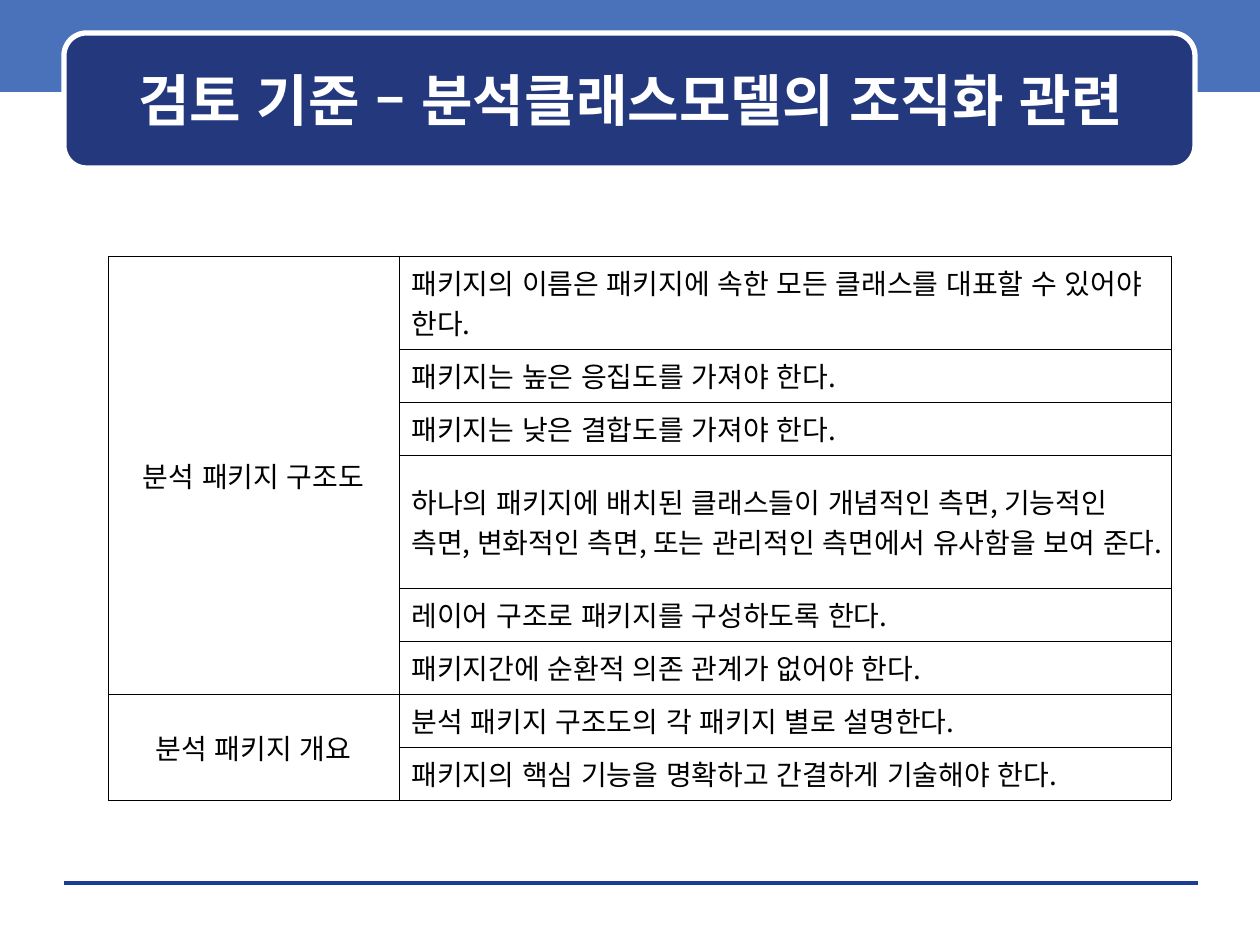
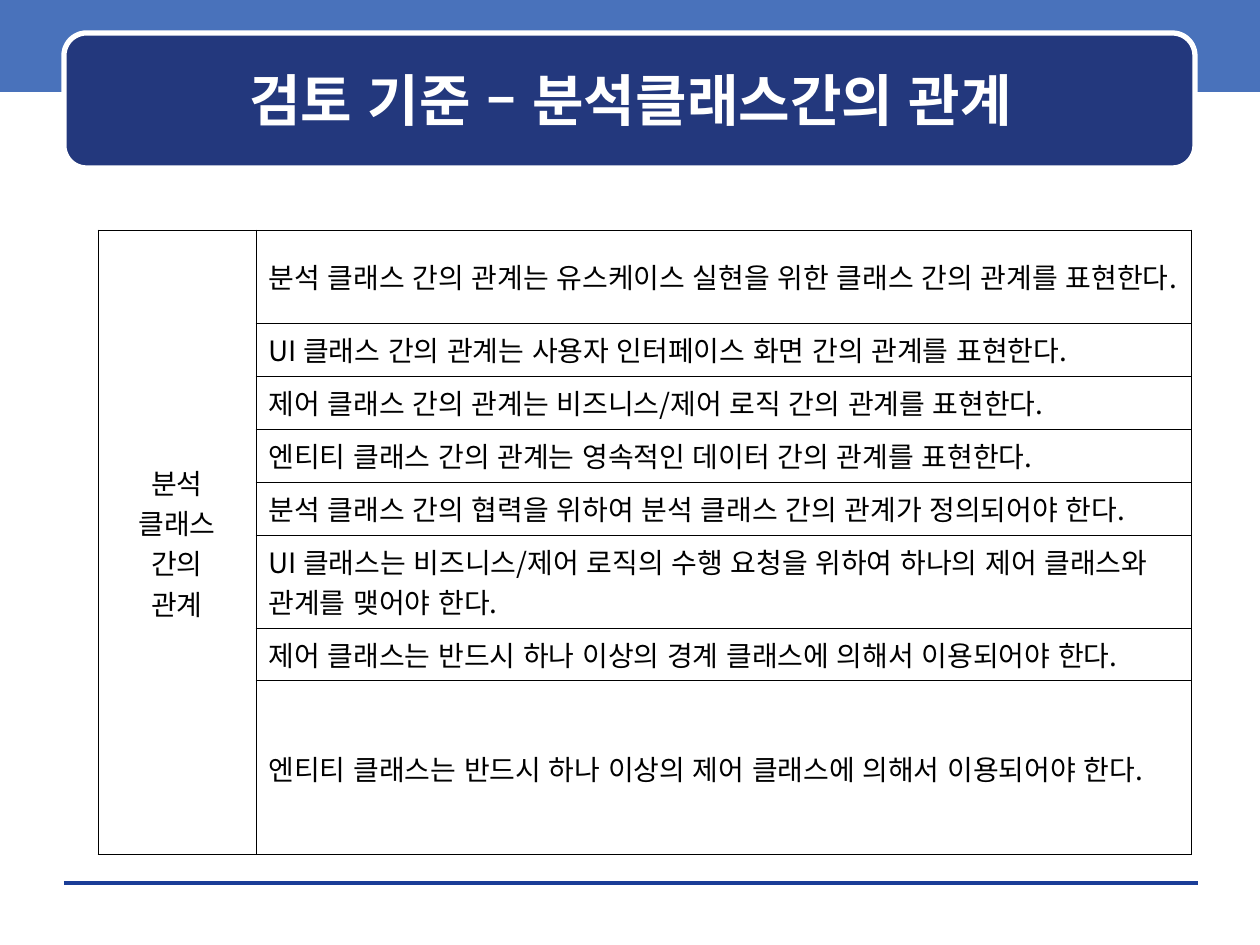
"""Build two slides of review criteria for analysis classes."""
from dataclasses import dataclass

from lxml.etree import SubElement
from pptx import Presentation
from pptx.dml.color import RGBColor
from pptx.enum.lang import MSO_LANGUAGE_ID as Language
from pptx.enum.shapes import MSO_CONNECTOR as Connector, MSO_SHAPE as Preset
from pptx.enum.text import MSO_ANCHOR as Anchor, PP_ALIGN as Align
from pptx.oxml.ns import qn
from pptx.slide import Slide
from pptx.table import _Cell as Cell
from pptx.text.text import TextFrame
from pptx.util import Emu, Pt

WHITE = RGBColor(0xFF, 0xFF, 0xFF)
BLACK = RGBColor(0x00, 0x00, 0x00)
BAND_BLUE = RGBColor(0x49, 0x72, 0xBB)
TITLE_BLUE = RGBColor(0x23, 0x38, 0x7D)
RULE_BLUE = RGBColor(0x1A, 0x3D, 0x97)

FONT = "Noto Sans CJK KR"
TITLE_FORMAT = {"size": Pt(32), "bold": True}
CELL_FORMAT = {"size": Pt(16), "bold": False}
BORDER_WIDTH = Pt(0.45)
ONE_LINE, TWO_LINES, THREE_LINES, TALL_ROW = 53, 93, 133, 174


def px(length: int) -> Emu:
    """Turn a length at 126 px to the inch into EMU."""
    return Emu(round(length * 914400 / 126))


@dataclass(frozen=True)
class Panel:
    """A filled shape behind the title."""
    preset: Preset
    box: tuple[int, int, int, int]
    fill: RGBColor
    outline: RGBColor | None = None


@dataclass(frozen=True)
class Criterion:
    """One table row: its text and height."""
    text: str
    height: int = ONE_LINE


@dataclass(frozen=True)
class Group:
    """A merged label cell and its criteria."""
    label: str
    criteria: tuple[Criterion, ...]


@dataclass(frozen=True)
class Review:
    """The content of one slide."""
    title: str
    left: int
    top: int
    columns: tuple[int, int]
    groups: tuple[Group, ...]


PANELS = (
    Panel(Preset.RECTANGLE, (0, -4, 1260, 96), BAND_BLUE),
    Panel(Preset.ROUNDED_RECTANGLE, (64, 33, 1131, 135), TITLE_BLUE, WHITE),
)
TITLE_BOX = (76, 44, 1110, 111)
FOOTER_RULE = (64, 883, 1198, 883)

REVIEWS = (
    Review("검토 기준 – 분석클래스모델의 조직화 관련", 108, 256, (291, 772), (
        Group("분석 패키지 구조도", (
            Criterion("패키지의 이름은 패키지에 속한 모든 클래스를 대표할 수 있어야 한다.", TWO_LINES),
            Criterion("패키지는 높은 응집도를 가져야 한다."),
            Criterion("패키지는 낮은 결합도를 가져야 한다."),
            Criterion("하나의 패키지에 배치된 클래스들이 개념적인 측면, 기능적인 측면, "
                      "변화적인 측면, 또는 관리적인 측면에서 유사함을 보여 준다.", THREE_LINES),
            Criterion("레이어 구조로 패키지를 구성하도록 한다."),
            Criterion("패키지간에 순환적 의존 관계가 없어야 한다."),
        )),
        Group("분석 패키지 개요", (
            Criterion("분석 패키지 구조도의 각 패키지 별로 설명한다."),
            Criterion("패키지의 핵심 기능을 명확하고 간결하게 기술해야 한다."),
        )),
    )),
    Review("검토 기준 – 분석클래스간의 관계", 98, 230, (158, 935), (
        Group("분석 클래스 간의\v관계", (
            Criterion("분석 클래스 간의 관계는 유스케이스 실현을 위한 클래스 간의 관계를 표현한다.", TWO_LINES),
            Criterion("UI 클래스 간의 관계는 사용자 인터페이스 화면 간의 관계를 표현한다."),
            Criterion("제어 클래스 간의 관계는 비즈니스/제어 로직 간의 관계를 표현한다."),
            Criterion("엔티티 클래스 간의 관계는 영속적인 데이터 간의 관계를 표현한다."),
            Criterion("분석 클래스 간의 협력을 위하여 분석 클래스 간의 관계가 정의되어야 한다."),
            Criterion("UI 클래스는 비즈니스/제어 로직의 수행 요청을 위하여 "
                      "하나의 제어 클래스와 관계를 맺어야 한다.", TWO_LINES),
            Criterion("제어 클래스는 반드시 하나 이상의 경계 클래스에 의해서 이용되어야 한다."),
            Criterion("엔티티 클래스는 반드시 하나 이상의 제어 클래스에 의해서 이용되어야 한다.", TALL_ROW),
        )),
    )),
)


def write_text(frame: TextFrame, text: str, font_format: dict, color: RGBColor, align: Align) -> None:
    """Write one paragraph in the shared font."""
    paragraph = frame.paragraphs[0]
    paragraph.text = text
    paragraph.alignment = align
    for run in paragraph.runs:
        for name, value in {"name": FONT, "language_id": Language.KOREAN, **font_format}.items():
            setattr(run.font, name, value)
        run.font.color.rgb = color
        SubElement(run.font._element, qn("a:ea"), typeface=FONT)


def draw_panel(slide: Slide, panel: Panel) -> None:
    """Draw one panel."""
    shape = slide.shapes.add_shape(panel.preset, *map(px, panel.box))
    shape.shadow.inherit = False
    shape.fill.solid()
    shape.fill.fore_color.rgb = panel.fill
    if panel.outline is None:
        shape.line.fill.background()
    else:
        shape.line.color.rgb = panel.outline
        shape.line.width = Pt(3)


def draw_frame(slide: Slide, title: str) -> None:
    """Draw the band, footer rule and title that the slides share."""
    band, title_panel = PANELS
    draw_panel(slide, band)
    rule = slide.shapes.add_connector(Connector.STRAIGHT, *map(px, FOOTER_RULE))
    rule.line.color.rgb = RULE_BLUE
    rule.line.width = Pt(0)
    SubElement(rule._element.spPr, qn("a:effectLst"))
    draw_panel(slide, title_panel)
    frame = slide.shapes.add_textbox(*map(px, TITLE_BOX)).text_frame
    frame.word_wrap = True
    frame.vertical_anchor = Anchor.MIDDLE
    write_text(frame, title, TITLE_FORMAT, WHITE, Align.CENTER)


def style_cell(cell: Cell) -> None:
    """Give a cell thin black borders and no fill."""
    cell.vertical_anchor = Anchor.MIDDLE
    properties = cell._tc.get_or_add_tcPr()
    for side in ("lnL", "lnR", "lnT", "lnB"):
        border = SubElement(properties, qn(f"a:{side}"), w=str(BORDER_WIDTH))
        fill = SubElement(border, qn("a:solidFill"))
        SubElement(fill, qn("a:srgbClr"), val=str(BLACK))
    cell.fill.background()


def draw_table(slide: Slide, review: Review) -> None:
    """Draw the criteria, with one merged label for each group."""
    criteria = [criterion for group in review.groups for criterion in group.criteria]
    height = sum(criterion.height for criterion in criteria)
    box = (review.left, review.top, sum(review.columns), height)
    table = slide.shapes.add_table(len(criteria), 2, *map(px, box)).table
    for name in ("first_row", "horz_banding"):
        setattr(table, name, False)
    for column, width in zip(table.columns, review.columns):
        column.width = px(width)
    for cell in table.iter_cells():
        style_cell(cell)
    for index, criterion in enumerate(criteria):
        table.rows[index].height = px(criterion.height)
        write_text(table.cell(index, 1).text_frame, criterion.text, CELL_FORMAT, BLACK, Align.LEFT)
    start = 0
    for group in review.groups:
        end = start + len(group.criteria)
        label = table.cell(start, 0)
        label.merge(table.cell(end - 1, 0))
        write_text(label.text_frame, group.label, CELL_FORMAT, BLACK, Align.CENTER)
        start = end


def main() -> None:
    """Build and save the presentation."""
    presentation = Presentation()
    presentation.slide_width, presentation.slide_height = px(1260), px(945)
    for review in REVIEWS:
        slide = presentation.slides.add_slide(presentation.slide_layouts[6])
        draw_frame(slide, review.title)
        draw_table(slide, review)
    presentation.save("out.pptx")


if __name__ == "__main__":
    main()
